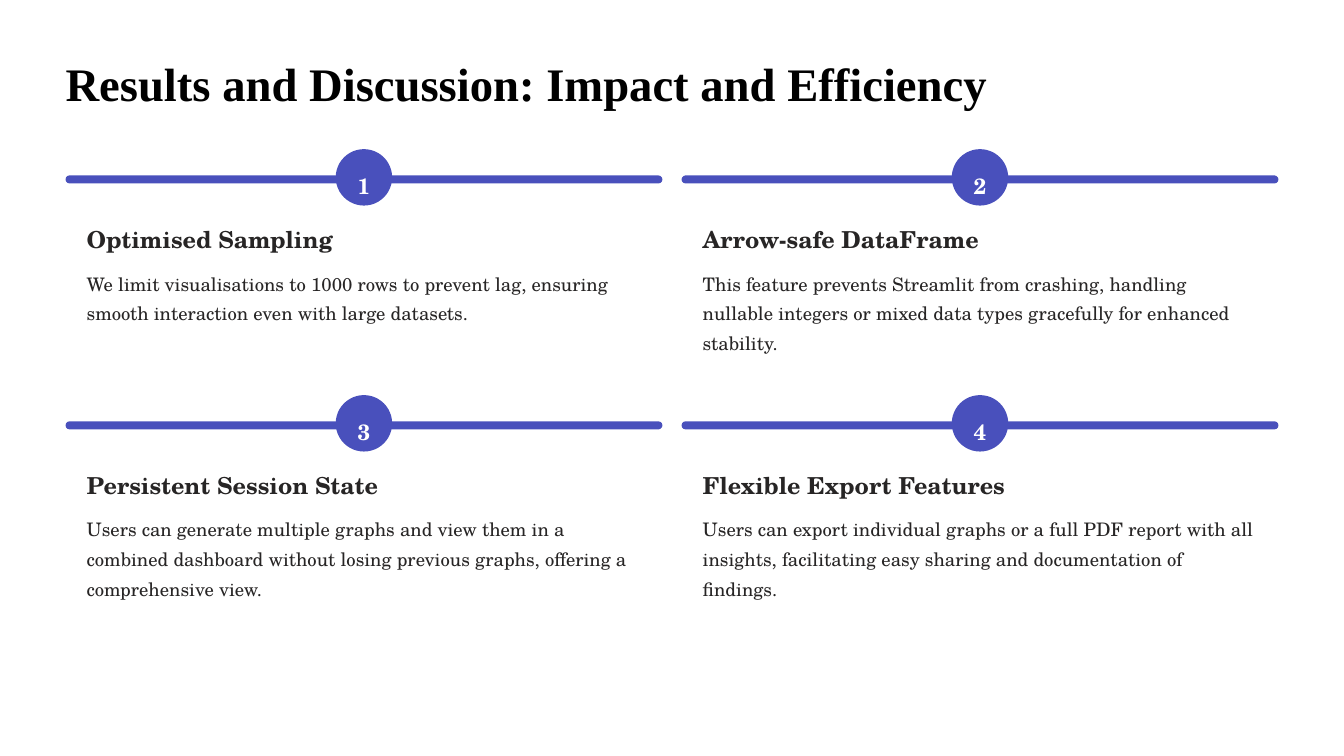
from dataclasses import dataclass

from pptx import Presentation
from pptx.dml.color import RGBColor
from pptx.enum.shapes import MSO_SHAPE
from pptx.enum.text import MSO_ANCHOR, MSO_AUTO_SIZE, PP_ALIGN
from pptx.util import Inches, Pt


@dataclass(frozen=True)
class TextStyle:
    font: str
    size: float
    leading: float
    color: RGBColor
    bold: bool = True
    align: PP_ALIGN = PP_ALIGN.LEFT


@dataclass(frozen=True)
class Theme:
    white = RGBColor.from_string("FFFFFF")
    accent = RGBColor.from_string("4950BC")
    ink = RGBColor.from_string("272525")
    black = RGBColor.from_string("000000")
    serif = "TeX Gyre Schola"
    title = TextStyle("Times New Roman", 33.3, 41.7, black)
    number = TextStyle(serif, 15.8, 25.4, white, align=PP_ALIGN.CENTER)
    heading = TextStyle(serif, 16.7, 20.8, ink)
    body = TextStyle(serif, 13.3, 21.2, ink, bold=False)


THEME = Theme()

# Card grid, in inches
GRID_LEFT, GRID_TOP = 0.65, 1.48
COLUMN_STEP, ROW_STEP = 6.11, 2.44
CARD_WIDTH, CARD_HEIGHT = 5.92, 1.98
BADGE_SIZE, NUMBER_WIDTH = 0.56, 0.22
TEXT_INDENT, TEXT_WIDTH = 0.21, 5.5

FINDINGS = [
    ("Optimised Sampling",
     "We limit visualisations to 1000 rows to prevent lag, ensuring smooth "
     "interaction even with large datasets."),
    ("Arrow-safe DataFrame",
     "This feature prevents Streamlit from crashing, handling nullable integers "
     "or mixed data types gracefully for enhanced stability."),
    ("Persistent Session State",
     "Users can generate multiple graphs and view them in a combined dashboard "
     "without losing previous graphs, offering a comprehensive view."),
    ("Flexible Export Features",
     "Users can export individual graphs or a full PDF report with all insights, "
     "facilitating easy sharing and documentation of findings."),
]


def write_text(frame, text, style):
    frame.margin_left = frame.margin_right = 0
    frame.margin_top = frame.margin_bottom = 0
    frame.word_wrap = True
    frame.auto_size = MSO_AUTO_SIZE.NONE
    frame.vertical_anchor = MSO_ANCHOR.TOP
    paragraph = frame.paragraphs[0]
    paragraph.text = text
    paragraph.alignment = style.align
    paragraph.line_spacing = Pt(style.leading)
    font = paragraph.font
    font.name, font.size, font.bold = style.font, Pt(style.size), style.bold
    font.color.rgb = style.color


def add_title(slide, text):
    title = slide.shapes.title
    title.left, title.top = Inches(GRID_LEFT), Inches(0.52)
    title.width, title.height = Inches(10.49), Inches(0.58)
    write_text(title.text_frame, text, THEME.title)


def add_label(slide, left, top, width, height, text, style):
    label = slide.shapes.add_textbox(
        Inches(left), Inches(top), Inches(width), Inches(height))
    write_text(label.text_frame, text, style)


def add_panel(slide, left, top, width, height, rounding, color):
    panel = slide.shapes.add_shape(
        MSO_SHAPE.ROUNDED_RECTANGLE,
        Inches(left), Inches(top), Inches(width), Inches(height))
    panel.adjustments[0] = rounding
    panel.shadow.inherit = False
    panel.fill.solid()
    panel.fill.fore_color.rgb = color
    panel.line.fill.background()


def add_finding(slide, left, top, number, heading, body):
    center = left + CARD_WIDTH / 2
    # Card, top bar and round badge
    add_panel(slide, left, top + 0.28, CARD_WIDTH, CARD_HEIGHT, 0.05, THEME.white)
    add_panel(slide, left, top + 0.26, CARD_WIDTH, 0.08, 0.5, THEME.accent)
    add_panel(slide, center - BADGE_SIZE / 2, top, BADGE_SIZE, BADGE_SIZE,
              0.5, THEME.accent)
    # Number, heading and description
    add_label(slide, center - NUMBER_WIDTH / 2, top + 0.14, NUMBER_WIDTH, 0.28,
              str(number), THEME.number)
    text_left = left + TEXT_INDENT
    add_label(slide, text_left, top + 0.74, TEXT_WIDTH, 0.29, heading, THEME.heading)
    add_label(slide, text_left, top + 1.15, TEXT_WIDTH, 0.9, body, THEME.body)


def main():
    presentation = Presentation()
    presentation.slide_width = Inches(13.33)
    presentation.slide_height = Inches(7.5)
    slide = presentation.slides.add_slide(presentation.slide_layouts[5])
    slide.background.fill.solid()
    slide.background.fill.fore_color.rgb = THEME.white

    add_title(slide, "Results and Discussion: Impact and Efficiency")

    # Two-by-two grid of findings
    for index, (heading, body) in enumerate(FINDINGS):
        row, column = divmod(index, 2)
        add_finding(slide, GRID_LEFT + column * COLUMN_STEP,
                    GRID_TOP + row * ROW_STEP, index + 1, heading, body)

    presentation.save("out.pptx")


if __name__ == "__main__":
    main()
